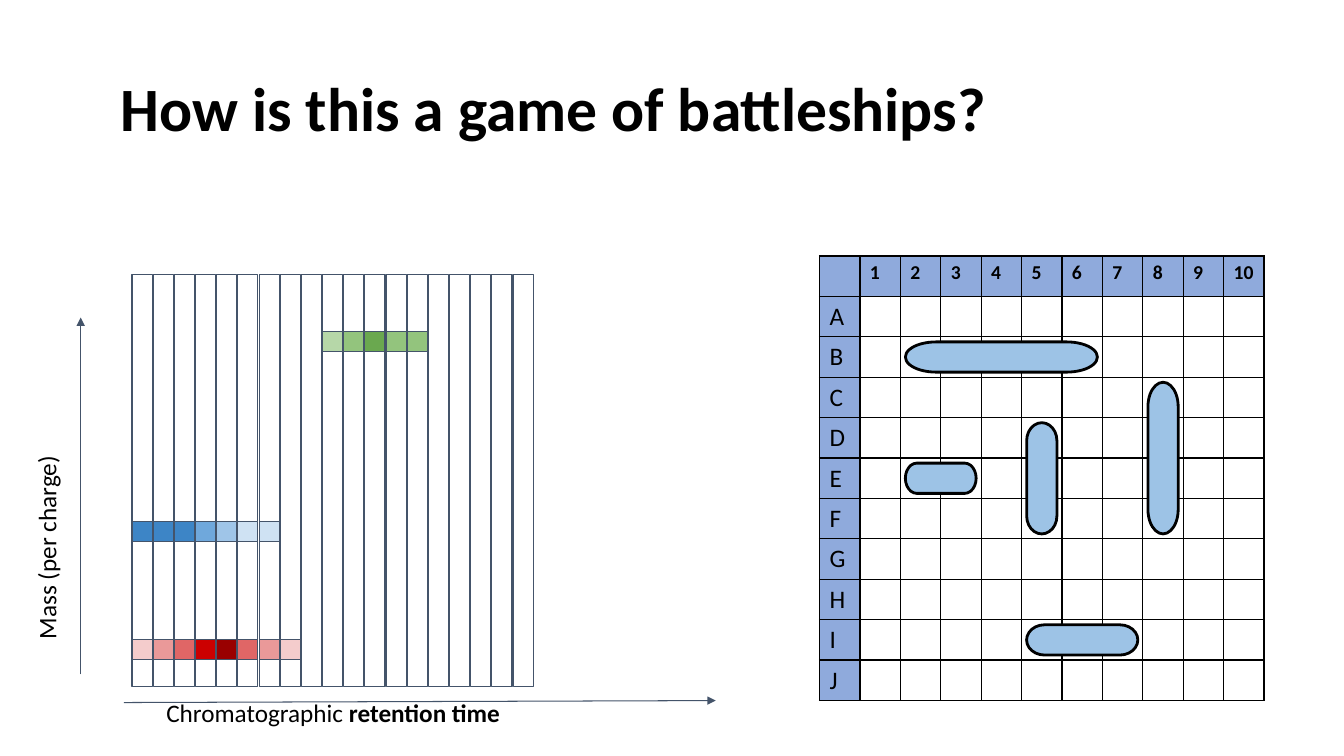
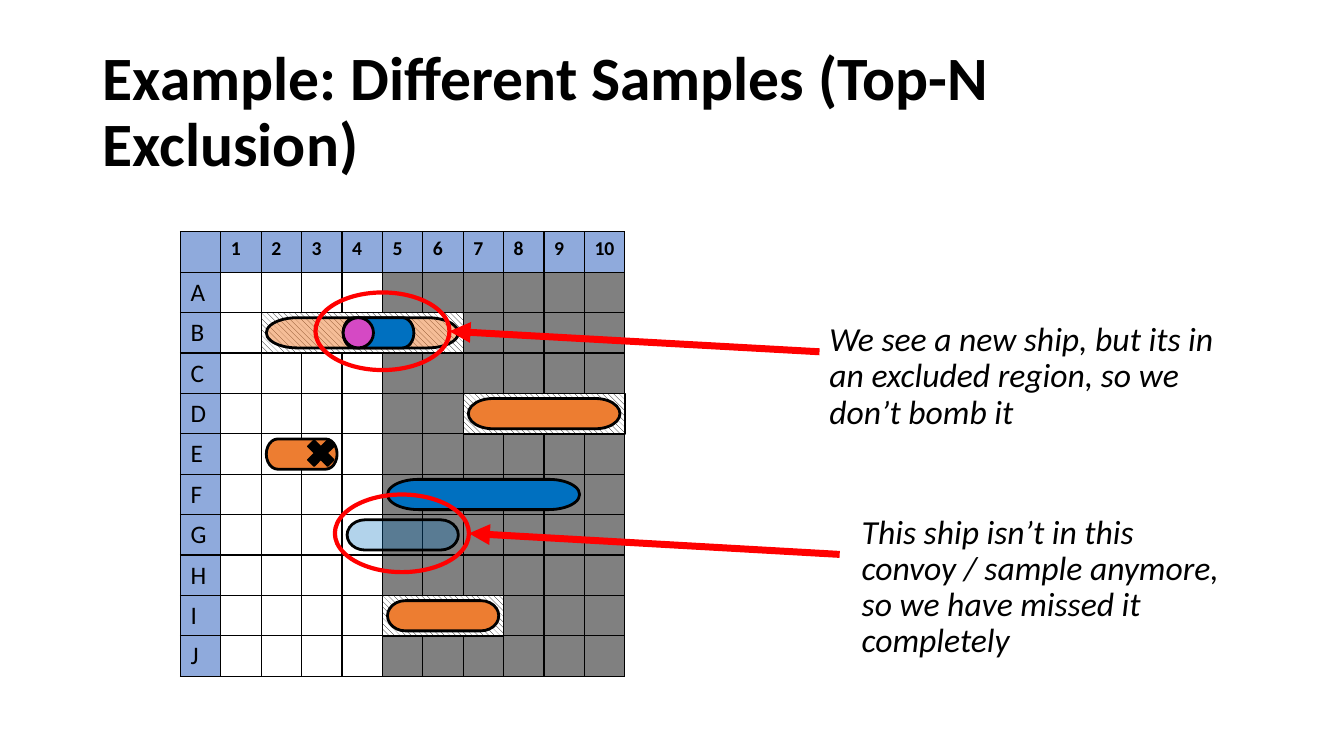
from dataclasses import dataclass
from typing import Optional

import pptx
import pptx.dml.color
import pptx.enum.dml
import pptx.enum.shapes
import pptx.enum.text
import pptx.oxml
import pptx.oxml.ns
import pptx.util

# Slide grid: every length counts squares of a tenth of an inch
COLUMNS, ROWS = 133.33, 75
FONT = "Calibri"
BLACK, WHITE, RED, SLATE = "000000", "FFFFFF", "FF0000", "44546A"
HEADER, HIDDEN = "8FAADC", "808080"
PALE_BLUE, BLUE, ORANGE, MAGENTA = "9DC3E6", "0070C0", "ED7D31", "D549C4"
PRESET = pptx.enum.shapes.MSO_SHAPE

# Board: a header row and column, then ten by ten cells
LETTERS = "ABCDEFGHIJ"
BOARD_SIZE = len(LETTERS) + 1
CELL = 4.01
SHIP_INSET = 0.5
SHIP_HEIGHT = 3

# Scans: narrow strips along the retention time axis
SCAN_COUNT, SCAN_PITCH, SCAN_WIDTH = 19, 2.1, 2
SCAN_LEFT, SCAN_TOP, SCAN_HEIGHT = 13.1, 27.2, 40.9


@dataclass(frozen=True)
class Box:
    left: float
    top: float
    width: float
    height: float


@dataclass(frozen=True)
class Run:
    text: str
    size: float
    bold: bool = False
    italic: bool = False


@dataclass(frozen=True)
class Board:
    left: float
    top: float
    hidden_from: int = BOARD_SIZE

    def x(self, column: float) -> float:
        return self.left + column * CELL

    def y(self, row: float) -> float:
        return self.top + row * CELL


@dataclass(frozen=True)
class Ship:
    row: str
    column: float
    length: int
    color: str = PALE_BLUE
    vertical: bool = False
    opacity: int = 100
    zone: bool = False
    preset: PRESET = PRESET.FLOWCHART_TERMINATOR


@dataclass(frozen=True)
class Peak:
    first_scan: int
    top: float
    colors: tuple[str, ...]


@dataclass(frozen=True)
class Callout:
    column: float
    row: float
    arrow_start: tuple[float, float]
    text_box: Box
    text: str


PEAKS = (
    Peak(0, 63.4, ("F4CCCC", "EA9999", "E06666", "CC0000", "990000", "E06666", "EA9999", "F4CCCC")),
    Peak(0, 51.7, ("3D85C6", "3D85C6", "3D85C6", "6FA8DC", "9FC5E8", "CFE2F3", "CFE2F3")),
    Peak(9, 32.9, ("B6D7A8", "93C47D", "6AA84F", "93C47D", "93C47D")),
)
FIRST_FLEET = (
    Ship("D", 5, 3, vertical=True),
    Ship("I", 5, 3),
    Ship("E", 2, 2),
    Ship("C", 8, 4, vertical=True),
    Ship("B", 2, 5),
)
SECOND_FLEET = (
    Ship("G", 4, 3, BLUE, opacity=30),
    Ship("D", 7, 4, ORANGE, zone=True),
    Ship("I", 5, 3, ORANGE, zone=True),
    Ship("B", 2, 5, ORANGE, opacity=50, zone=True),
    Ship("F", 5, 5, BLUE),
    Ship("B", 3.9, 2, BLUE),
    Ship("B", 3.9, 1, MAGENTA, preset=PRESET.OVAL),
    Ship("E", 2, 2, ORANGE),
)
CALLOUTS = (
    Callout(5, 2.46, (81.3, 34.9), Box(81.3, 31.5, 40.2, 15.6),
            "We see a new ship, but its in an excluded region, so we don’t bomb it"),
    Callout(5.48, 7.46, (83.3, 55), Box(84.5, 50.6, 40.2, 15.6),
            "This ship isn’t in this convoy / sample anymore, so we have missed it completely"),
)


def squares(count: float) -> pptx.util.Emu:
    return pptx.util.Inches(count / 10)


def color_of(value: str) -> pptx.dml.color.RGBColor:
    return pptx.dml.color.RGBColor.from_string(value)


def place(box: Box) -> tuple:
    return tuple(squares(n) for n in (box.left, box.top, box.width, box.height))


def add_xml(parent, markup: str):
    namespace = pptx.oxml.ns.nsdecls("a")
    element = pptx.oxml.parse_xml(markup.replace("@", namespace, 1))
    parent.append(element)


def add_run(paragraph, content: Run):
    run = paragraph.add_run()
    run.text = content.text
    run.font.name = FONT
    run.font.size = pptx.util.Pt(content.size)
    run.font.bold = content.bold
    run.font.italic = content.italic
    run.font.color.rgb = color_of(BLACK)


def add_text(slide, box: Box, runs: list[Run], spacing: float = 1.0,
             inset: Optional[float] = None, middle: bool = False, rotation: float = 0):
    shape = slide.shapes.add_textbox(*place(box))
    shape.rotation = rotation
    frame = shape.text_frame
    frame.word_wrap = True
    if middle:
        frame.vertical_anchor = pptx.enum.text.MSO_ANCHOR.MIDDLE
    if inset is not None:
        frame.margin_left = frame.margin_right = squares(inset)
        frame.margin_top = frame.margin_bottom = squares(inset)
    paragraph = frame.paragraphs[0]
    paragraph.line_spacing = spacing
    for content in runs:
        add_run(paragraph, content)


def add_title(slide, left: float, top: float, text: str):
    add_text(slide, Box(left, top, 115, 14.5), [Run(text, 44, bold=True)], 0.9, middle=True)


def add_figure(slide, preset: PRESET, box: Box, fill: Optional[str], line: str, width: float):
    shape = slide.shapes.add_shape(preset, *place(box))
    shape.shadow.inherit = False
    if fill:
        shape.fill.solid()
        shape.fill.fore_color.rgb = color_of(fill)
    else:
        shape.fill.background()
    shape.line.color.rgb = color_of(line)
    shape.line.width = pptx.util.Pt(width)
    return shape


def add_arrow(slide, start: tuple[float, float], end: tuple[float, float], color: str, width: float):
    connector = slide.shapes.add_connector(
        pptx.enum.shapes.MSO_CONNECTOR.STRAIGHT, *(squares(n) for n in start + end))
    connector.line.color.rgb = color_of(color)
    connector.line.width = pptx.util.Pt(width)
    add_xml(connector.line._get_or_add_ln(), '<a:tailEnd @ type="triangle"/>')
    add_xml(connector._element.spPr, "<a:effectLst @/>")


def style_cell(cell, fill: str):
    properties = cell._tc.get_or_add_tcPr()
    for side in "LRTB":
        add_xml(properties, f'<a:ln{side} @ w="12700"><a:solidFill><a:srgbClr val="{BLACK}"/>'
                            f"</a:solidFill></a:ln{side}>")
    cell.fill.solid()
    cell.fill.fore_color.rgb = color_of(fill)


def add_board(slide, board: Board):
    side = BOARD_SIZE * CELL
    table = slide.shapes.add_table(
        BOARD_SIZE, BOARD_SIZE, *place(Box(board.left, board.top, side, side))).table
    table.first_row = table.horz_banding = False
    for line in (*table.columns, *table.rows):
        if hasattr(line, "width"):
            line.width = squares(CELL)
        else:
            line.height = squares(CELL)
    for row in range(BOARD_SIZE):
        for column in range(BOARD_SIZE):
            cell = table.cell(row, column)
            if row == 0 or column == 0:
                fill = HEADER
            else:
                fill = HIDDEN if column >= board.hidden_from else WHITE
            style_cell(cell, fill)
            paragraph = cell.text_frame.paragraphs[0]
            if row == 0 and column > 0:
                add_run(paragraph, Run(str(column), 14, bold=True))
            elif column == 0 and row > 0:
                add_run(paragraph, Run(LETTERS[row - 1], 18))


def add_zone(slide, box: Box):
    shape = add_figure(slide, PRESET.RECTANGLE, box, None, BLACK, 1)
    shape.fill.patterned()
    shape.fill.pattern = pptx.enum.dml.MSO_PATTERN.WIDE_DOWNWARD_DIAGONAL
    shape.fill.fore_color.rgb = color_of(BLACK)
    shape.fill.back_color.rgb = color_of(WHITE)


def add_ship(slide, board: Board, ship: Ship):
    left = board.x(ship.column)
    top = board.y(LETTERS.index(ship.row) + 1)
    if ship.zone:
        add_zone(slide, Box(left, top, ship.length * CELL, CELL))
    length = ship.length * CELL - 2 * SHIP_INSET
    left, top = left + SHIP_INSET, top + SHIP_INSET
    if ship.vertical:
        # A quarter turn keeps the centre, so shift the lying box first
        shift = (length - SHIP_HEIGHT) / 2
        left, top = left - shift, top + shift
    shape = add_figure(slide, ship.preset, Box(left, top, length, SHIP_HEIGHT), ship.color, BLACK, 2)
    shape.rotation = 90 if ship.vertical else 0
    if ship.opacity < 100:
        color = shape._element.spPr.find(".//" + pptx.oxml.ns.qn("a:srgbClr"))
        add_xml(color, f'<a:alpha @ val="{ship.opacity * 1000}"/>')


def add_callout(slide, board: Board, callout: Callout):
    width, height = 13.3, 7.7
    x, y = board.x(callout.column), board.y(callout.row)
    ring = Box(x - width / 2, y - height / 2, width, height)
    add_figure(slide, PRESET.OVAL, ring, None, RED, 3)
    add_arrow(slide, callout.arrow_start, (x + width / 2, y), RED, 5)
    add_text(slide, callout.text_box, [Run(callout.text, 24, italic=True)], 0.9)


def add_scans(slide):
    def scan_box(index: int, top: float, height: float) -> Box:
        return Box(SCAN_LEFT + index * SCAN_PITCH, top, SCAN_WIDTH, height)

    for index in range(SCAN_COUNT):
        add_figure(slide, PRESET.RECTANGLE, scan_box(index, SCAN_TOP, SCAN_HEIGHT), None, SLATE, 0.75)
    for peak in PEAKS:
        for index, color in enumerate(peak.colors, peak.first_scan):
            add_figure(slide, PRESET.RECTANGLE, scan_box(index, peak.top, SCAN_WIDTH), color, SLATE, 0.75)


def build_game_slide(slide):
    add_title(slide, 11, 3.8, "How is this a game of battleships?")
    add_scans(slide)
    # Axes
    add_arrow(slide, (8, 66.9), (8, 31.5), SLATE, 0.75)
    add_text(slide, Box(-10.6, 46.1, 31, 6.2), [Run("Mass (per charge)", 18)], inset=1.3, rotation=270)
    add_arrow(slide, (12.3, 69.7), (71, 69.5), SLATE, 0.75)
    add_text(slide, Box(15.2, 67.9, 52.9, 7.1),
             [Run("Chromatographic ", 18), Run("retention time", 18, bold=True)], inset=1.3)
    # Board and ships
    board = Board(81.3, 25.4)
    add_board(slide, board)
    for ship in FIRST_FLEET:
        add_ship(slide, board, ship)


def build_exclusion_slide(slide):
    add_title(slide, 9.2, 4, "Example: Different Samples (Top-N Exclusion)")
    board = Board(17.9, 23, hidden_from=5)
    add_board(slide, board)
    for ship in SECOND_FLEET:
        add_ship(slide, board, ship)
    # Hit mark
    add_figure(slide, PRESET.MATH_MULTIPLY, Box(board.x(3), board.y(5), 3.8, 3.8), BLACK, BLACK, 1)
    for callout in CALLOUTS:
        add_callout(slide, board, callout)


def main():
    presentation = pptx.Presentation()
    presentation.slide_width, presentation.slide_height = squares(COLUMNS), squares(ROWS)
    for build in (build_game_slide, build_exclusion_slide):
        build(presentation.slides.add_slide(presentation.slide_layouts[6]))
    presentation.save("out.pptx")


if __name__ == "__main__":
    main()
